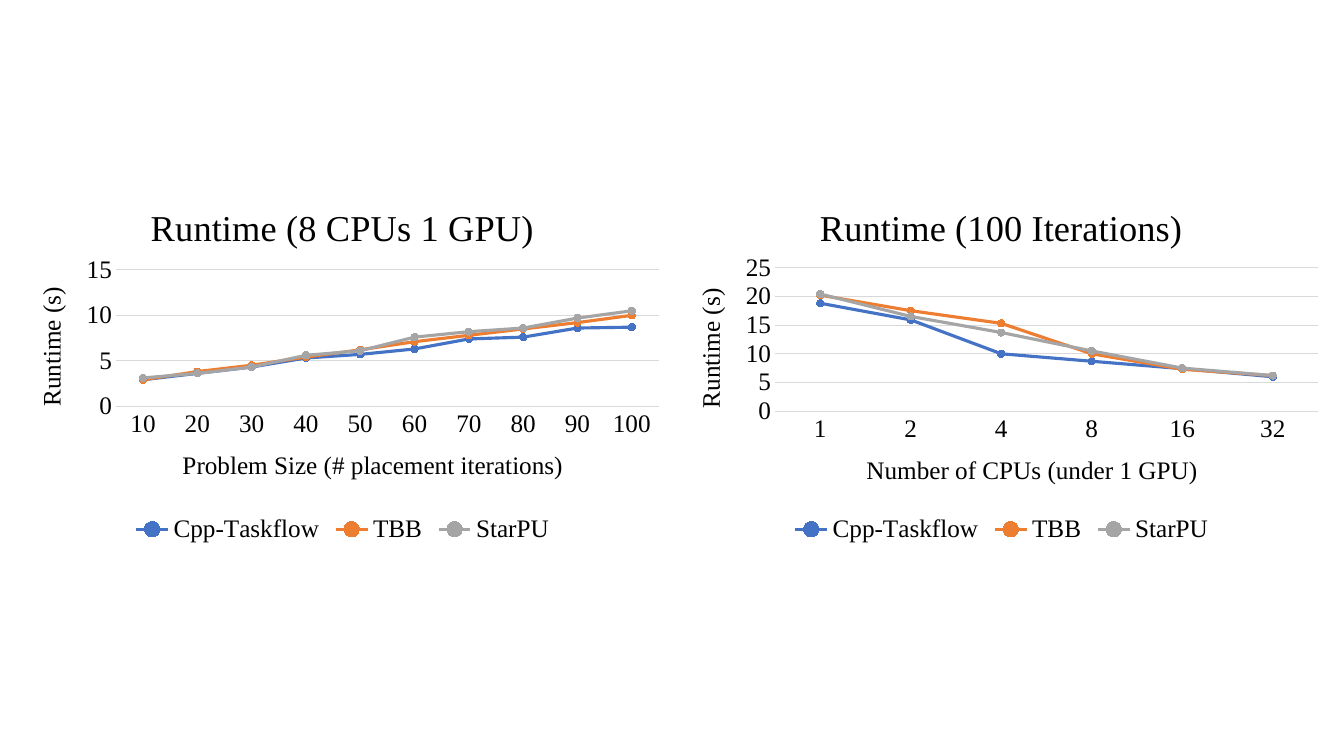
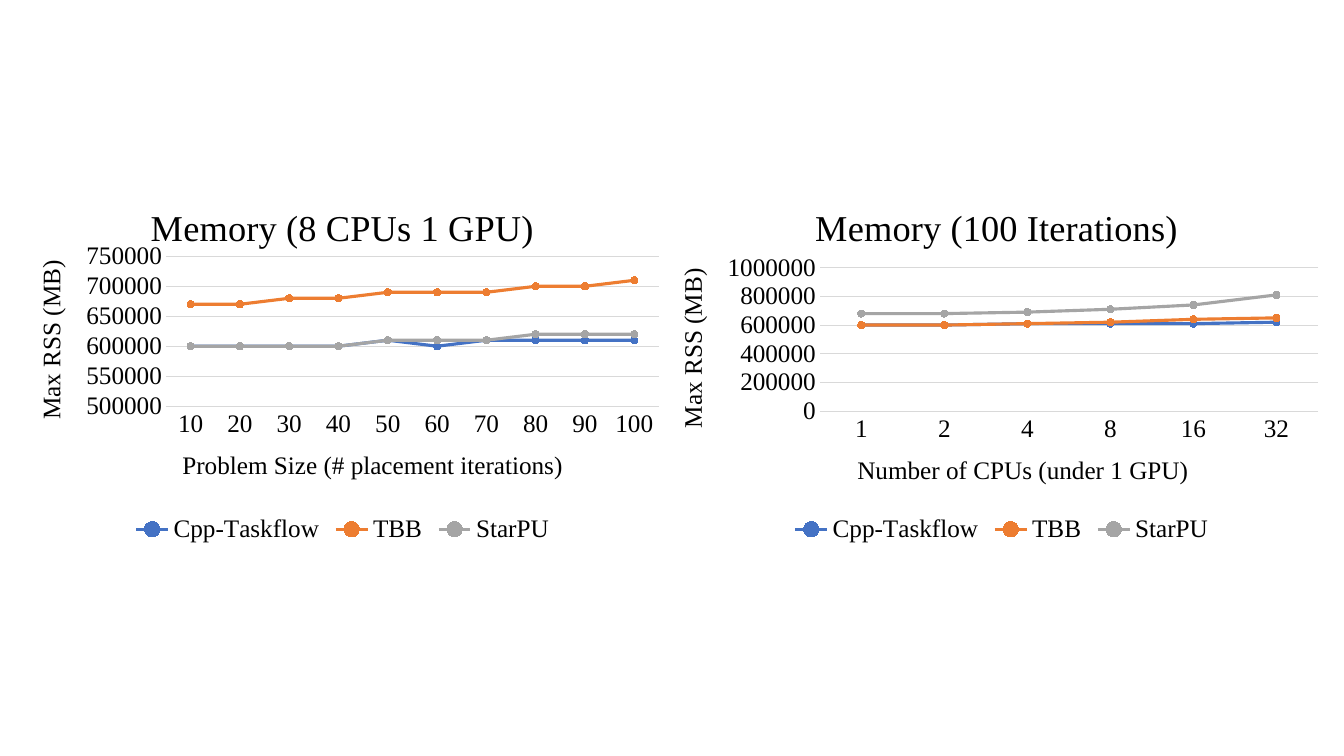
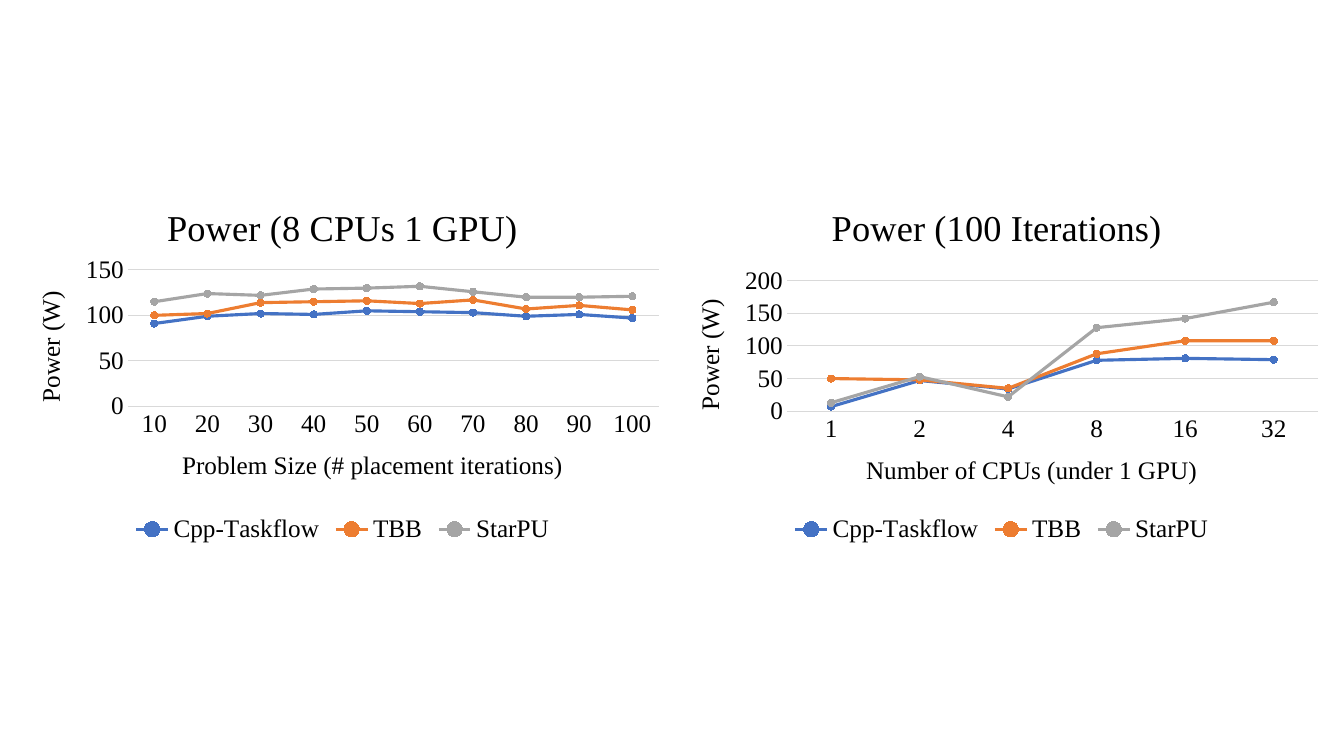
from pptx import Presentation
from pptx.chart.data import CategoryChartData
from pptx.dml.color import RGBColor
from pptx.enum.chart import (XL_CHART_TYPE, XL_LEGEND_POSITION,
                             XL_MARKER_STYLE, XL_TICK_MARK)
from pptx.oxml import parse_xml
from pptx.oxml.ns import nsdecls, qn
from pptx.util import Cm, Pt

LINES = XL_CHART_TYPE.LINE_MARKERS
BOTTOM = XL_LEGEND_POSITION.BOTTOM
CIRCLE = XL_MARKER_STYLE.CIRCLE
NO_TICK = XL_TICK_MARK.NONE

# Shared style
FACE = "Times New Roman"
INK = "000000"
GRID = "D9D9D9"
TOOLS = {"Cpp-Taskflow": "4472C4", "TBB": "ED7D31", "StarPU": "A5A5A5"}
WIDE, HIGH, TOP = Cm(16.61), Cm(9.14), Cm(4.67)
RIGHT_EDGE = 0.98

# Both chart columns: left, plot top and height, categories, axis and chart title
SIDES = [
    dict(left=Cm(0.33), top=0.196, high=0.413, cats=range(10, 101, 10),
         axis="Problem Size (# placement iterations)", title="8 CPUs 1 GPU"),
    dict(left=Cm(16.94), top=0.227, high=0.396, cats=[2 ** n for n in range(6)],
         axis="Number of CPUs (under 1 GPU)", title="100 Iterations"),
]

# One entry per slide; each chart has a scale (min, max, step), the plot's
# left edge, the title's left edge (None centres it) and one row per tool
SLIDES = [
    ("Runtime", "Runtime (s)", [
        dict(scale=(0, 16.5, 5), plot=0.156, head=None, rows=[
            [2.9, 3.6, 4.3, 5.3, 5.7, 6.3, 7.4, 7.6, 8.6, 8.7],
            [2.9, 3.8, 4.5, 5.4, 6.2, 7.1, 7.8, 8.5, 9.2, 10],
            [3.1, 3.6, 4.3, 5.6, 6.1, 7.6, 8.2, 8.6, 9.7, 10.5]]),
        dict(scale=(0, 25, 5), plot=0.156, head=0.214, rows=[
            [18.8, 15.9, 10, 8.7, 7.4, 6],
            [20.2, 17.5, 15.3, 10, 7.3, 6.2],
            [20.4, 16.5, 13.7, 10.5, 7.5, 6.2]])]),
    ("Memory", "Max RSS (MB)", [
        dict(scale=(500000, 750000, 50000), plot=0.232, head=None, rows=[
            [600000, 600000, 600000, 600000, 610000,
             600000, 610000, 610000, 610000, 610000],
            [670000, 670000, 680000, 680000, 690000,
             690000, 690000, 700000, 700000, 710000],
            [600000, 600000, 600000, 600000, 610000,
             610000, 610000, 620000, 620000, 620000]]),
        dict(scale=(0, 1000000, 200000), plot=0.224, head=0.207, rows=[
            [600000, 600000, 610000, 610000, 610000, 620000],
            [600000, 600000, 610000, 620000, 640000, 650000],
            [680000, 680000, 690000, 710000, 740000, 810000]])]),
    ("Power", "Power (W)", [
        dict(scale=(0, 165, 50), plot=0.174, head=None, rows=[
            [91, 99, 102, 101, 105, 104, 103, 99, 101, 97],
            [100, 102, 114, 115, 116, 113, 117, 107, 111, 106],
            [115, 124, 122, 129, 130, 132, 126, 120, 120, 121]]),
        dict(scale=(0, 220, 50), plot=0.174, head=0.232, rows=[
            [7, 47, 34, 78, 81, 79],
            [50, 48, 35, 88, 108, 108],
            [13, 53, 22, 128, 142, 167]])]),
]


def write(owner, text, size=18, color=INK):
    """Put text into a chart or axis title."""
    owner.text_frame.text = text
    font = owner.text_frame.paragraphs[0].runs[0].font
    font.name, font.size, font.bold = FACE, Pt(size), False
    font.color.rgb = RGBColor.from_string(color)


def place(node, index, target="", **parts):
    """Give a chart part a fixed place, as shares of the chart's size."""
    for old in node.findall(qn("c:layout")):
        node.remove(old)
    inner = f'<c:layoutTarget val="{target}"/>' if target else ""
    inner += '<c:xMode val="edge"/><c:yMode val="edge"/>'
    inner += "".join(f'<c:{k} val="{v:.3f}"/>' for k, v in parts.items())
    node.insert(index, parse_xml(
        f'<c:layout {nsdecls("c")}><c:manualLayout>{inner}'
        '</c:manualLayout></c:layout>'))


deck = Presentation()
deck.slide_width, deck.slide_height = Cm(33.87), Cm(19.05)

for topic, unit, charts in SLIDES:
    slide = deck.slides.add_slide(deck.slide_layouts[6])
    for side, part in zip(SIDES, charts):
        # Data
        data = CategoryChartData()
        data.categories = [str(cat) for cat in side["cats"]]
        for name, row in zip(TOOLS, part["rows"]):
            data.add_series(name, row)
        chart = slide.shapes.add_chart(
            LINES, side["left"], TOP, WIDE, HIGH, data).chart
        chart.font.name, chart.font.size = FACE, Pt(18)
        chart.font.color.rgb = RGBColor.from_string(INK)

        # Titles and legend
        chart.has_title = True
        write(chart.chart_title, f"{topic} ({side['title']})", size=26)
        chart.has_legend = True
        chart.legend.position = BOTTOM
        chart.legend.include_in_layout = False

        # Axes
        base, scale = chart.category_axis, chart.value_axis
        for axis, text in ((base, side["axis"]), (scale, unit)):
            axis.major_tick_mark = axis.minor_tick_mark = NO_TICK
            write(axis.axis_title, text)
        base.has_major_gridlines = False
        scale.minimum_scale, scale.maximum_scale, scale.major_unit = part["scale"]
        scale.format.line.fill.background()
        for line in (base.format.line, scale.major_gridlines.format.line):
            line.width = Pt(0.75)
            line.color.rgb = RGBColor.from_string(GRID)
        turn = chart.element.xpath(".//c:valAx/c:title//a:bodyPr")[0]
        turn.set("rot", "-5400000")
        turn.set("vert", "horz")

        # Lines and markers
        plot = chart.plots[0]
        plot.vary_by_categories = False
        for series, color in zip(plot.series, TOOLS.values()):
            tint = RGBColor.from_string(color)
            series.smooth = False
            series.format.line.width = Pt(2.25)
            series.format.line.color.rgb = tint
            mark = series.marker
            mark.style, mark.size = CIRCLE, 5
            mark.format.fill.solid()
            mark.format.fill.fore_color.rgb = tint
            mark.format.line.color.rgb = tint

        # Places inside the chart
        place(chart.element.xpath(".//c:plotArea")[0], 0, target="inner",
              x=part["plot"], y=side["top"],
              w=RIGHT_EDGE - part["plot"], h=side["high"])
        if part["head"]:
            place(chart.element.xpath("./c:chart/c:title")[0], 1,
                  x=part["head"], y=0.036)

deck.save("out.pptx")
